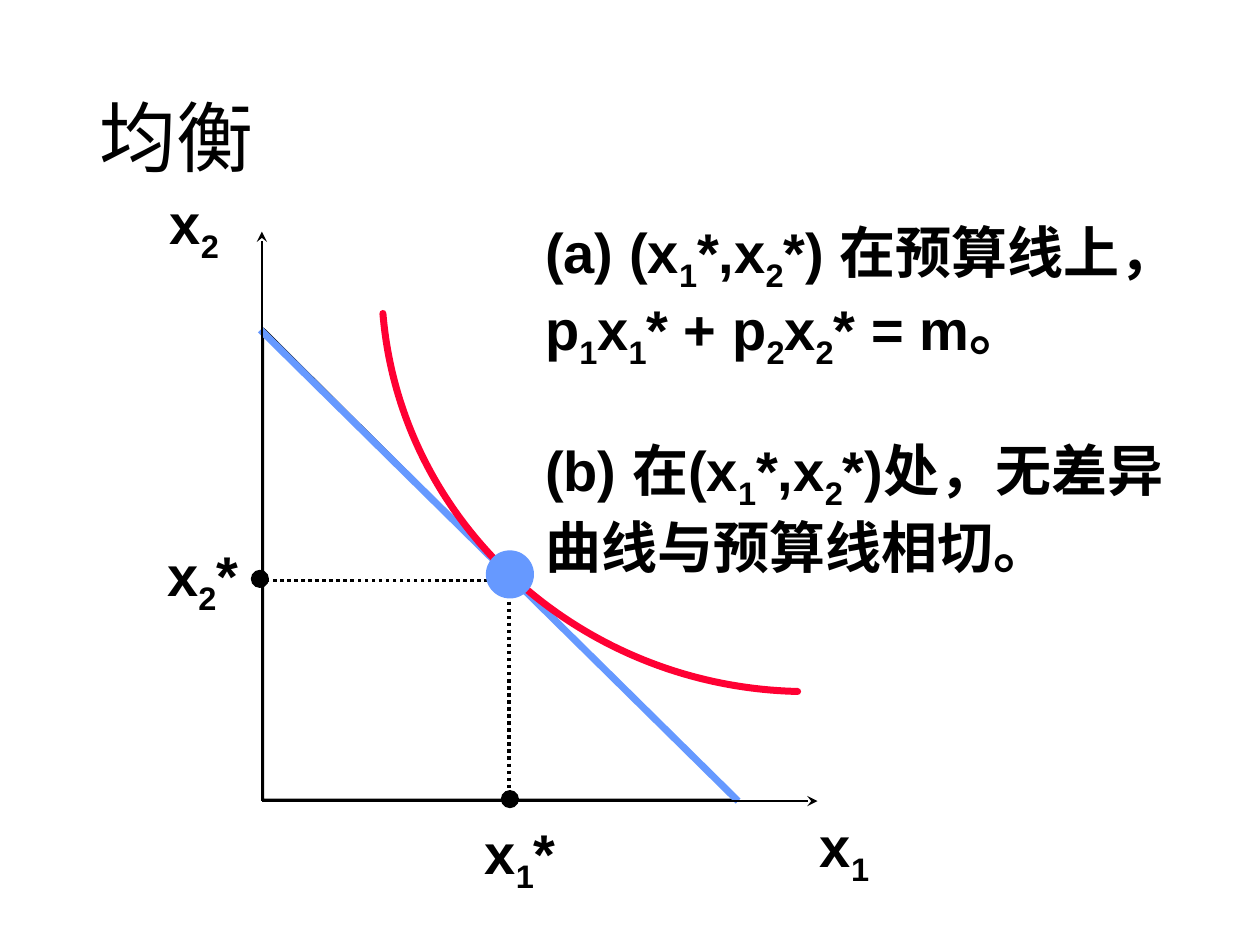
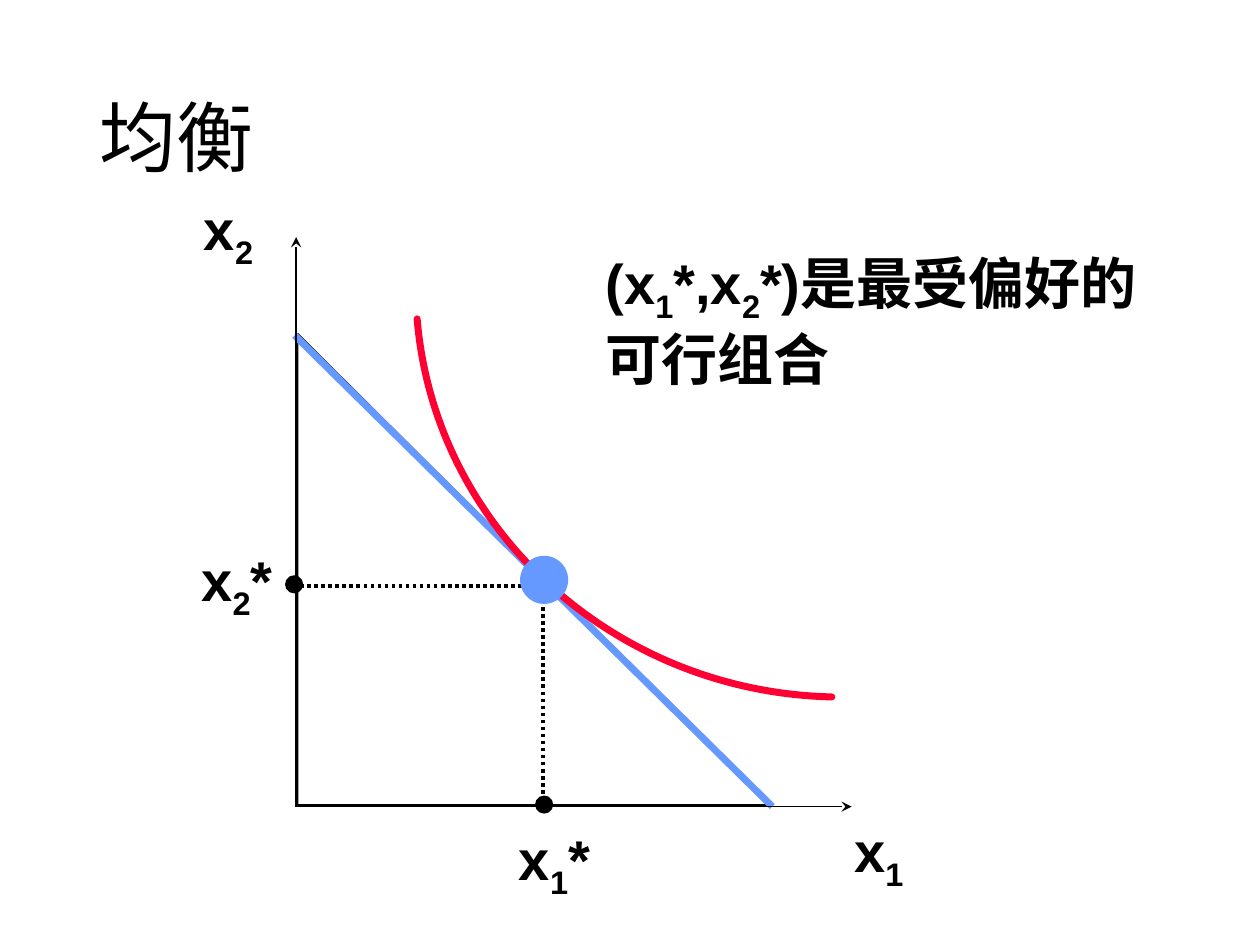
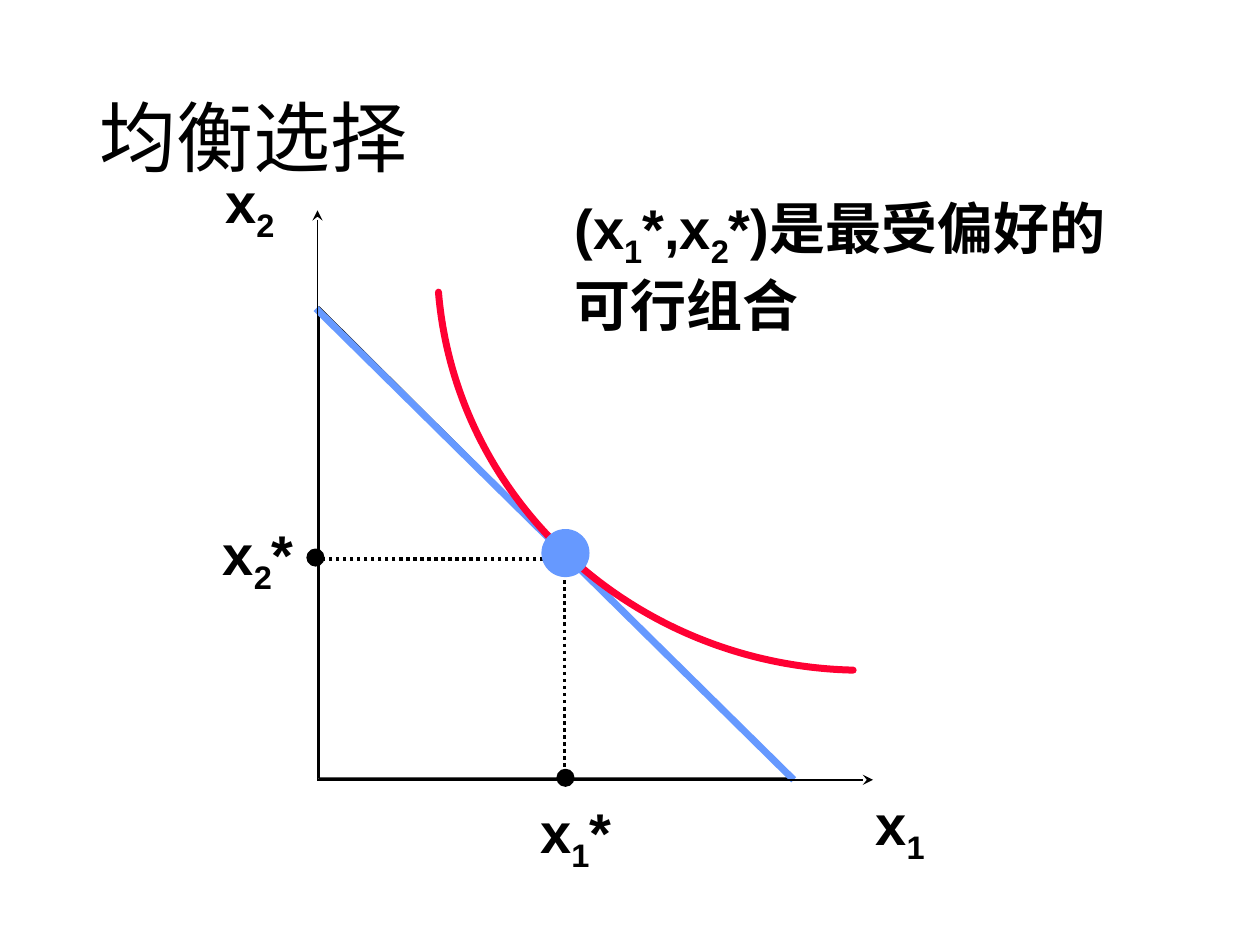
import lxml.etree
import pptx
import pptx.dml.color
import pptx.enum.dml
import pptx.enum.lang
import pptx.enum.shapes
import pptx.enum.text
import pptx.oxml.ns
import pptx.util
from pptx.util import Cm

BLACK = pptx.dml.color.RGBColor(0x00, 0x00, 0x00)
BLUE = pptx.dml.color.RGBColor(0x66, 0x99, 0xFF)
RED = pptx.dml.color.RGBColor(0xFF, 0x00, 0x33)

TITLE_FONT, TITLE_SIZE = "Calibri", 44
BODY_FONT, BODY_SIZE = "Arial", 32
THIN, DOTTED, THICK = 1, 2, 4

PREFERRED_BUNDLE = ["(x_1*,x_2*)是最受偏好的", "可行组合"]


def add_xml(parent, tag, **attributes):
    return lxml.etree.SubElement(parent, pptx.oxml.ns.qn(tag), attributes)


class EquilibriumDeck:
    """Holds the style, the current slide and the origin of its diagram.

    Diagram coordinates are in centimetres from the origin, with y upwards.
    """

    def __init__(self):
        self.presentation = pptx.Presentation()
        self.presentation.slide_width = Cm(25.4)
        self.presentation.slide_height = Cm(19.05)
        self.slide = None
        self.origin = (0, 0)

    def start_slide(self, title, origin):
        self.slide = self.presentation.slides.add_slide(self.presentation.slide_layouts[6])
        self.origin = origin
        frame = self.add_text_frame(1.75, 1.02, 21.9, 3.68)
        frame.vertical_anchor = pptx.enum.text.MSO_ANCHOR.MIDDLE
        paragraph = frame.paragraphs[0]
        paragraph.line_spacing = 0.9
        self.add_run(paragraph, title, TITLE_FONT, TITLE_SIZE)

    def point(self, x, y):
        return Cm(self.origin[0] + x), Cm(self.origin[1] - y)

    def add_text_frame(self, left, top, width, height):
        box = self.slide.shapes.add_textbox(Cm(left), Cm(top), Cm(width), Cm(height))
        box.text_frame.word_wrap = True
        return box.text_frame

    def add_run(self, paragraph, text, font_name=BODY_FONT, size=BODY_SIZE, bold=False):
        run = paragraph.add_run()
        run.text = text
        run.font.name = font_name
        run.font.size = pptx.util.Pt(size)
        run.font.bold = bold
        run.font.color.rgb = BLACK
        run.font.language_id = pptx.enum.lang.MSO_LANGUAGE_ID.SIMPLIFIED_CHINESE
        return run

    def add_formula(self, paragraph, text):
        """Writes bold text in which the character after each _ is a subscript."""
        start, *pieces = text.split("_")
        self.add_run(paragraph, start, bold=True)
        for piece in pieces:
            subscript = self.add_run(paragraph, piece[0], bold=True)
            subscript._r.get_or_add_rPr().set("baseline", "-25000")
            if piece[1:]:
                self.add_run(paragraph, piece[1:], bold=True)

    def add_note(self, left, top, width, height, lines, gap_before_last=0):
        frame = self.add_text_frame(left, top, width, height)
        frame.auto_size = pptx.enum.text.MSO_AUTO_SIZE.SHAPE_TO_FIT_TEXT
        for index, line in enumerate(lines):
            paragraph = frame.add_paragraph() if index else frame.paragraphs[0]
            self.add_formula(paragraph, line)
        paragraph.space_before = pptx.util.Pt(gap_before_last)

    def add_label(self, text, x, y):
        width = 1.98 if text.endswith("*") else 1.55
        frame = self.add_text_frame(self.origin[0] + x, self.origin[1] - y, width, 1.6)
        frame.word_wrap = False
        frame.auto_size = pptx.enum.text.MSO_AUTO_SIZE.SHAPE_TO_FIT_TEXT
        self.add_formula(frame.paragraphs[0], text)

    def add_line(self, start, end, color=BLACK, width=THIN, arrow=False, dotted=False):
        connector = self.slide.shapes.add_connector(
            pptx.enum.shapes.MSO_CONNECTOR.STRAIGHT, *self.point(*start), *self.point(*end))
        connector.line.color.rgb = color
        connector.line.width = pptx.util.Pt(width)
        if dotted:
            connector.line.dash_style = pptx.enum.dml.MSO_LINE.ROUND_DOT
        if arrow:
            add_xml(connector.line._get_or_add_ln(), "a:tailEnd", type="stealth")
        add_xml(connector._element.spPr, "a:effectLst")

    def add_dot(self, x, y, diameter, color, outlined=True):
        radius = diameter / 2
        dot = self.slide.shapes.add_shape(
            pptx.enum.shapes.MSO_SHAPE.OVAL, *self.point(x - radius, y + radius),
            Cm(diameter), Cm(diameter))
        dot.shadow.inherit = False
        dot.fill.solid()
        dot.fill.fore_color.rgb = color
        if outlined:
            self.outline(dot, color, THIN)
        else:
            dot.line.fill.background()

    def outline(self, shape, color, width):
        shape.line.color.rgb = color
        shape.line.width = pptx.util.Pt(width)

    def add_budget_set(self):
        triangle = self.slide.shapes.add_shape(
            pptx.enum.shapes.MSO_SHAPE.RIGHT_TRIANGLE, *self.point(0.03, 9.53), Cm(9.55), Cm(9.5))
        triangle.shadow.inherit = False
        triangle.fill.background()
        self.outline(triangle, BLACK, THIN)

    def add_curve(self, start, *controls_and_end):
        """Draws one cubic curve: a three-segment outline turned into a Bézier."""
        builder = self.slide.shapes.build_freeform(*self.point(*start))
        builder.add_line_segments([self.point(*place) for place in controls_and_end], close=False)
        curve = builder.convert_to_shape()
        segments = list(curve._element.iter(pptx.oxml.ns.qn("a:lnTo")))
        bezier = add_xml(segments[0].getparent(), "a:cubicBezTo")
        for segment in segments:
            bezier.append(segment[0])
            segment.getparent().remove(segment)
        curve.shadow.inherit = False
        curve.fill.background()
        self.outline(curve, RED, THICK)
        curve.line._get_or_add_ln().set("cap", "rnd")

    def add_diagram(self):
        self.add_budget_set()
        self.add_line((-0.03, 9.5), (9.6, 0), BLUE, THICK)
        self.add_curve((10.8, 2.21), (6.4, 2.31), (2.79, 5.61), (2.44, 9.83))
        for axis_end in ((0, 11.48), (11.2, 0)):
            self.add_line((0, 0), axis_end, arrow=True)
        self.add_label("x_1", 11, -0.08)
        self.add_label("x_2", -2.11, 12.47)
        for foot in ((4.98, 0), (0.05, 4.45)):
            self.add_line((4.98, 4.45), foot, width=DOTTED, dotted=True)
        self.add_dot(5, 4.57, 0.97, BLUE, outlined=False)
        self.add_dot(-0.04, 4.48, 0.33, BLACK)
        self.add_dot(5, 0.04, 0.33, BLACK)
        self.add_label("x_1*", 4.24, -0.23)
        self.add_label("x_2*", -2.16, 5.38)


def main():
    deck = EquilibriumDeck()

    deck.start_slide("均衡", origin=(5.28, 16.15))
    deck.add_diagram()
    conditions = ["(a) (x_1*,x_2*) 在预算线上，", "p_1x_1* + p_2x_2* = m。",
                  "(b) 在(x_1*,x_2*)处，无差异曲线与预算线相切。"]
    deck.add_note(10.74, 4.27, 13.87, 7.09, conditions, gap_before_last=37)

    deck.start_slide("均衡", origin=(5.97, 16.26))
    deck.add_diagram()
    deck.add_note(11.96, 4.88, 11.4, 3, PREFERRED_BUNDLE)

    deck.start_slide("均衡选择", origin=(6.4, 15.72))
    deck.add_diagram()
    deck.add_note(11.33, 3.78, 11.4, 3, PREFERRED_BUNDLE)

    deck.presentation.save("out.pptx")


if __name__ == "__main__":
    main()
